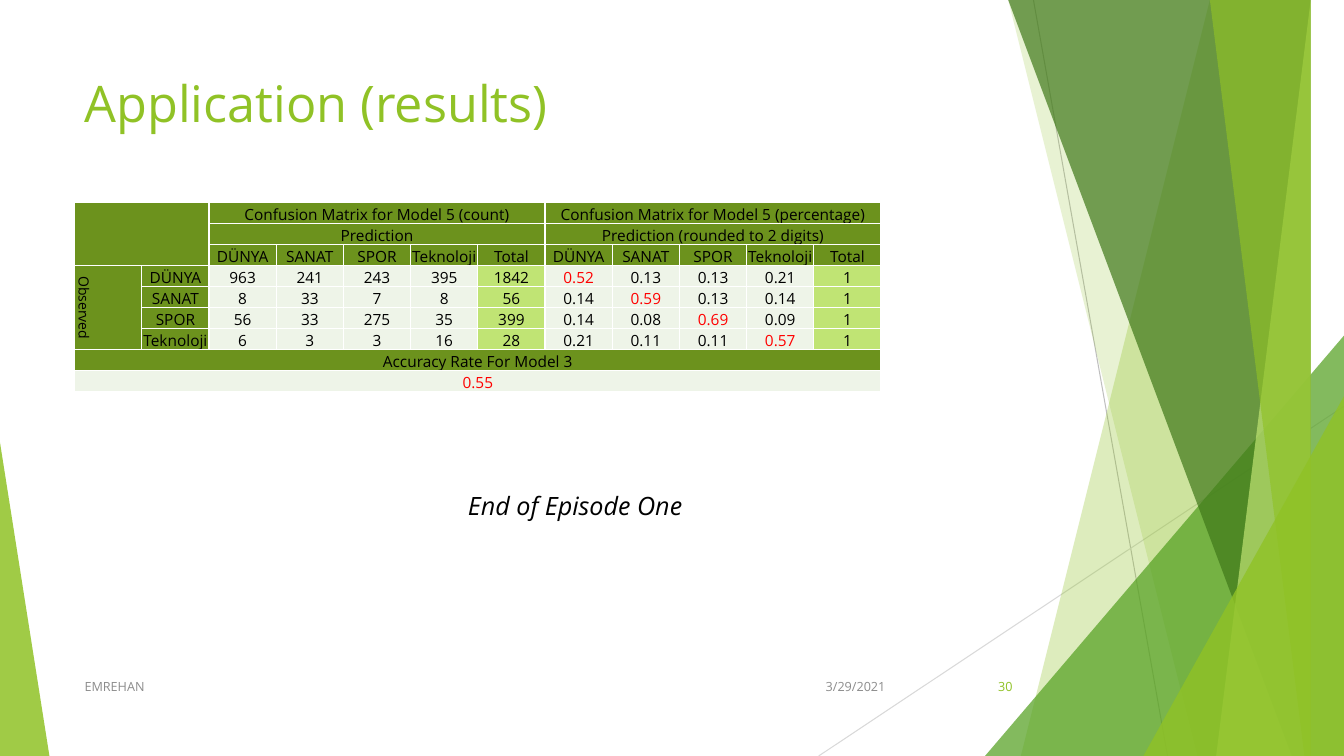
import pptx
import pptx.util
import pptx.dml.color
import pptx.enum.shapes
import pptx.enum.text
import pptx.oxml
import pptx.oxml.ns
from dataclasses import dataclass
from lxml import etree

Inches = pptx.util.Inches
ANCHOR = pptx.enum.text.MSO_ANCHOR
ALIGN = pptx.enum.text.PP_ALIGN
KIND = pptx.enum.shapes.MSO_SHAPE
qn = pptx.oxml.ns.qn


@dataclass
class Theme:
    font: str = "Open Sans"
    lime: str = "90C226"
    leaf: str = "54A021"
    moss: str = "3F7819"
    pale: str = "C0E474"
    head: str = "6C921D"
    body: str = "EEF4E8"
    hit: str = "FF0000"
    ink: str = "000000"
    gray: str = "8C8C8C"
    white: str = "FFFFFF"
    title: int = 36
    note: int = 18
    cell: int = 11
    side: int = 10
    foot: int = 9


theme = Theme()


def style(para, size, color, align=ALIGN.LEFT):
    para.alignment = align
    para.font.size = pptx.util.Pt(size)
    para.font.name = theme.font
    para.font.color.rgb = pptx.dml.color.RGBColor.from_string(color)


def paint(shape, color, alpha):
    shape.shadow.inherit = False
    shape.line.fill.background()
    shape.fill.solid()
    shape.fill.fore_color.rgb = pptx.dml.color.RGBColor.from_string(color)
    tone = shape.fill._xPr.find(".//" + qn("a:srgbClr"))
    etree.SubElement(tone, qn("a:alpha"), val=str(alpha * 1000))


deck = pptx.Presentation()
deck.slide_width, deck.slide_height = Inches(13.33), Inches(7.5)
slide = deck.slides.add_slide(deck.slide_layouts[6])
shapes = slide.shapes

# Thin lines behind the facets
for x1, y1, x2, y2, color in [(10.25, 0, 11.58, 7.5, "BFBFBF"),
                              (13.33, 4.03, 8.12, 7.5, "D9D9D9")]:
    line = shapes.add_connector(pptx.enum.shapes.MSO_CONNECTOR.STRAIGHT,
                                Inches(x1), Inches(y1), Inches(x2), Inches(y2))
    line.line.width = pptx.util.Pt(0.75)
    line.line.color.rgb = pptx.dml.color.RGBColor.from_string(color)
    etree.SubElement(line._element.spPr, qn("a:effectLst"))

# Facets: bands (top x, bottom x) reach the right edge,
# triangles are (left, top, width, height, apex)
facets = [
    ((12.28, 10.04), theme.lime, 30),
    ((10.5, 11.83), theme.lime, 20),
    ((9.77, 3.33, 3.56, 4.17, 1), theme.leaf, 72),
    ((10.21, 12.91), theme.moss, 70),
    ((13.03, 11.92), theme.pale, 70),
    ((11.96, 13.18), theme.lime, 65),
    ((11.34, 3.93, 1.99, 3.57, 1), theme.lime, 80),
    ((0, 4.39, 0.49, 3.11, 0), theme.lime, 85),
]
for form, color, alpha in facets:
    if len(form) == 2:
        top, base = form
        pen = shapes.build_freeform(top, 0, scale=Inches(1))
        pen.add_line_segments([(13.33, 0), (13.33, 7.5), (base, 7.5)])
        facet = pen.convert_to_shape()
    else:
        *box, apex = form
        facet = shapes.add_shape(KIND.ISOSCELES_TRIANGLE, *map(Inches, box))
        facet.adjustments[0] = apex
    paint(facet, color, alpha)

# Title, closing note and footer
texts = [
    ("Application (results)", (0.74, 0.67, 9.4, 1.44), theme.title,
     theme.lime, ALIGN.LEFT, ANCHOR.TOP),
    ("End of Episode One", (3.94, 4.82, 3.53, 0.4), theme.note,
     theme.ink, ALIGN.CENTER, ANCHOR.TOP),
    ("3/29/2021", (7.88, 6.61, 1, 0.4), theme.foot,
     theme.gray, ALIGN.RIGHT, ANCHOR.MIDDLE),
    ("EMREHAN", (0.74, 6.61, 6.89, 0.4), theme.foot,
     theme.gray, ALIGN.LEFT, ANCHOR.MIDDLE),
    ("30", (9.39, 6.61, 0.75, 0.4), theme.foot,
     theme.lime, ALIGN.RIGHT, ANCHOR.MIDDLE),
]
for text, box, size, color, align, anchor in texts:
    frame = shapes.add_textbox(*map(Inches, box)).text_frame
    frame.word_wrap = True
    frame.vertical_anchor = anchor
    frame.text = text
    style(frame.paragraphs[0], size, color, align)
    frame.paragraphs[0].font.italic = size == theme.note

# Confusion matrix: content by (row, column)
names = ["DÜNYA", "SANAT", "SPOR", "Teknoloji"]
counts = [
    [963, 241, 243, 395, 1842],
    [8, 33, 7, 8, 56],
    [56, 33, 275, 35, 399],
    [6, 3, 3, 16, 28],
]
rates = [
    ["0.52", "0.13", "0.13", "0.21", 1],
    ["0.14", "0.59", "0.13", "0.14", 1],
    ["0.14", "0.08", "0.69", "0.09", 1],
    ["0.21", "0.11", "0.11", "0.57", 1],
]
words = {
    (0, 2): "Confusion Matrix for Model 5 (count)",
    (0, 7): "Confusion Matrix for Model 5 (percentage)",
    (1, 2): "Prediction",
    (1, 7): "Prediction (rounded to 2 digits)",
    (3, 0): "Observed",
    (7, 0): "Accuracy Rate For Model 3",
    (8, 0): "0.55",
}
for c, name in enumerate((names + ["Total"]) * 2, 2):
    words[2, c] = name
for r, name in enumerate(names):
    for c, value in enumerate([name] + counts[r] + rates[r], 1):
        words[r + 3, c] = str(value)

rows, cols = 9, 12
grid = shapes.add_table(rows, cols, Inches(0.74), Inches(2.01),
                        Inches(8), Inches(1.88)).table
for col in grid.columns:
    col.width = Inches(8 / cols)
for row in grid.rows:
    row.height = Inches(1.88 / rows)

for r in range(rows):
    for c in range(cols):
        cell = grid.cell(r, c)
        data = 3 <= r <= 6 and c >= 2
        hits = data and c in (r + 4,) or r == 8
        fill = theme.body if data or r == 8 else theme.head
        if data and c in (6, 11):
            fill = theme.pale
        cell.text = words.get((r, c), "")
        style(cell.text_frame.paragraphs[0],
              theme.side if (r, c) == (3, 0) else theme.cell,
              theme.hit if hits else theme.ink, ALIGN.CENTER)
        label = r == 2 or 3 <= r <= 6 and c < 2
        cell.vertical_anchor = ANCHOR.MIDDLE if label else ANCHOR.BOTTOM
        cell.margin_left = cell.margin_right = cell.margin_top = Inches(0.01)
        cell.margin_bottom = 0
        # White rules on all four sides
        prop = cell._tc.get_or_add_tcPr()
        for side in ("lnL", "lnR", "lnT", "lnB"):
            rule = etree.SubElement(prop, qn("a:" + side), w="12700")
            solid = etree.SubElement(rule, qn("a:solidFill"))
            etree.SubElement(solid, qn("a:srgbClr"), val=theme.white)
        cell.fill.solid()
        cell.fill.fore_color.rgb = pptx.dml.color.RGBColor.from_string(fill)

grid.cell(3, 0)._tc.get_or_add_tcPr().set("vert", "vert")
for r1, c1, r2, c2 in [(0, 0, 2, 1), (0, 2, 0, 6), (0, 7, 0, 11),
                       (1, 2, 1, 6), (1, 7, 1, 11), (3, 0, 6, 0),
                       (7, 0, 7, 11), (8, 0, 8, 11)]:
    grid.cell(r1, c1).merge(grid.cell(r2, c2))

deck.save("out.pptx")
